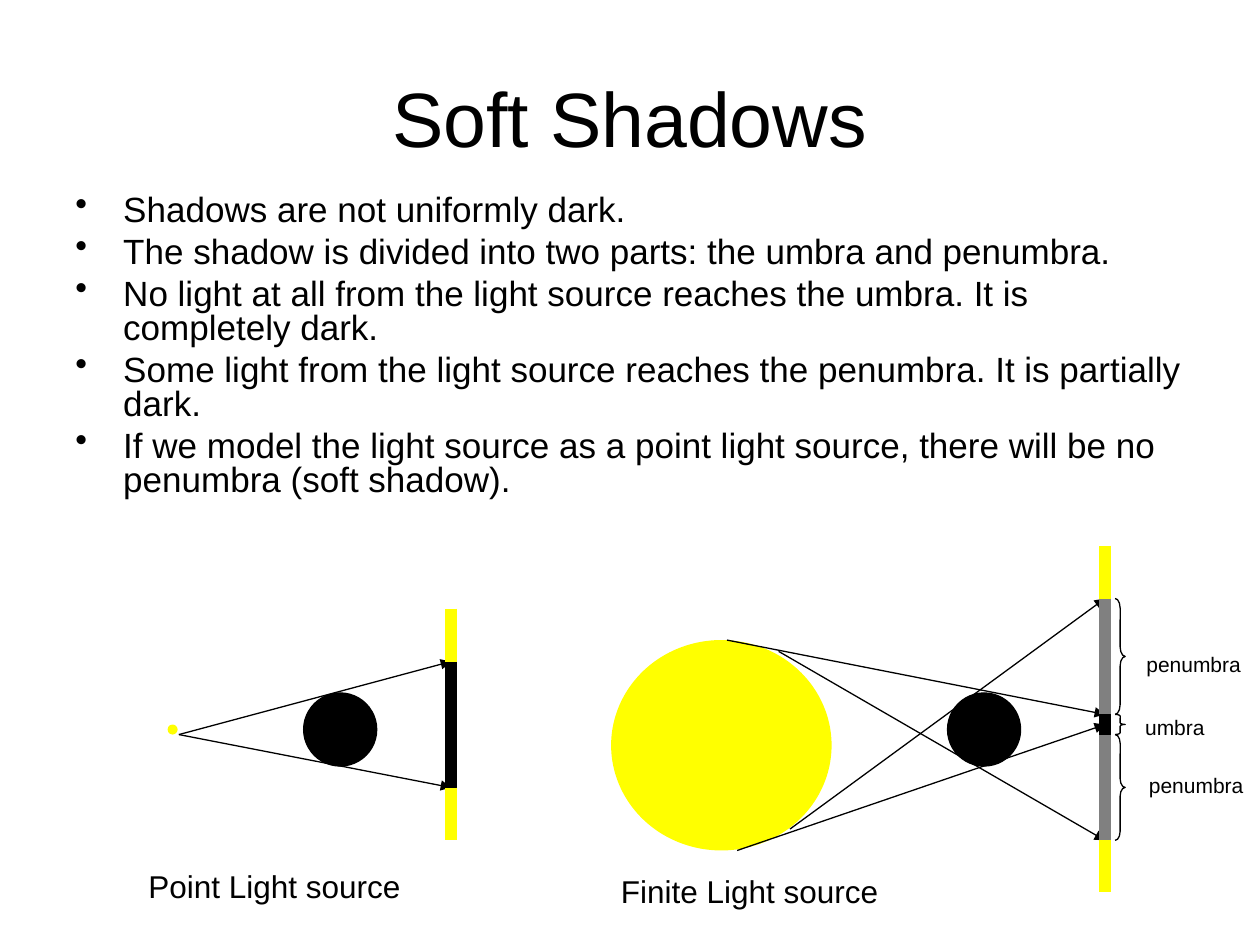
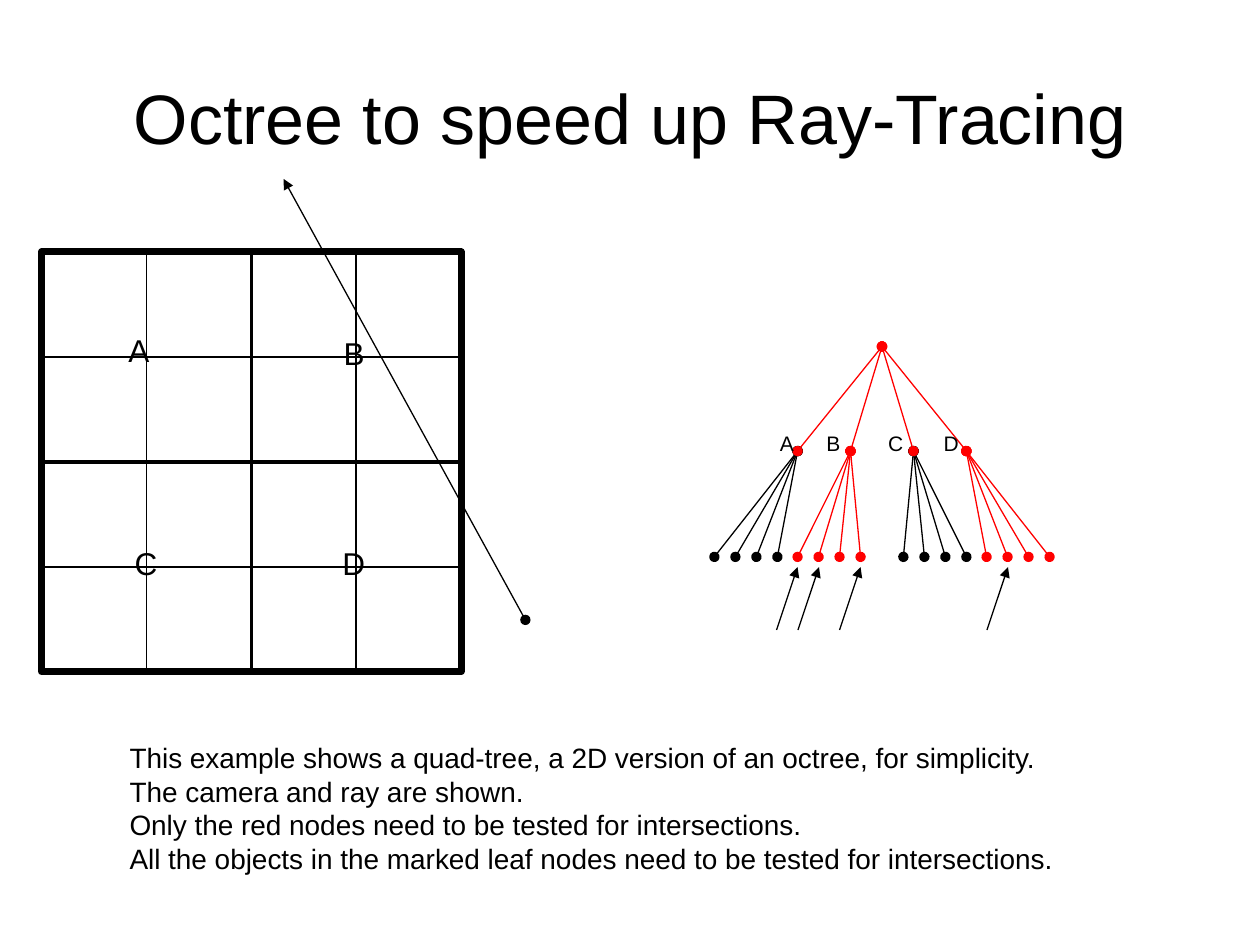
from dataclasses import dataclass

from lxml.etree import SubElement
from pptx import Presentation
from pptx.dml.color import RGBColor
from pptx.enum.shapes import MSO_CONNECTOR as Connector, MSO_SHAPE as Preset
from pptx.enum.text import MSO_ANCHOR as Anchor, PP_ALIGN as Align
from pptx.oxml.ns import qn
from pptx.util import Inches, Pt


@dataclass(frozen=True)
class Theme:
    font: str = "Arial"
    black: str = "000000"
    yellow: str = "FFFF00"
    gray: str = "808080"
    red: str = "FF0000"
    title: int = 44
    long_title: int = 40
    body: int = 20
    caption: int = 18
    note: int = 16
    label: int = 12
    thin: float = 0.75
    wall: float = 7


class Deck:
    """Draws styled elements on the current slide."""

    def __init__(self, theme):
        self.theme = theme
        self.presentation = Presentation()
        self.presentation.slide_width = Inches(10)
        self.presentation.slide_height = Inches(7.5)

    def add_slide(self, title, size):
        blank = self.presentation.slide_layouts[6]
        self.slide = self.presentation.slides.add_slide(blank)
        frame = self.text([title], 0.5, 0.3, 9, 1.25, size, wrap=True)
        frame.vertical_anchor = Anchor.MIDDLE
        frame.paragraphs[0].alignment = Align.CENTER

    def text(self, lines, left, top, width, height, size, wrap=False, bullets=False):
        box = self.slide.shapes.add_textbox(
            Inches(left), Inches(top), Inches(width), Inches(height))
        frame = box.text_frame
        frame.word_wrap = wrap
        frame.text = "\n".join(lines)
        for paragraph in frame.paragraphs:
            if bullets:
                self.bullet(paragraph)
            paragraph.font.name = self.theme.font
            paragraph.font.size = Pt(size)
            paragraph.font.color.rgb = RGBColor.from_string(self.theme.black)
        return frame

    def bullet(self, paragraph):
        paragraph.line_spacing = 0.8
        paragraph.space_before = Pt(5)
        properties = paragraph._p.get_or_add_pPr()
        properties.set("marL", str(Inches(0.38)))
        properties.set("indent", str(Inches(-0.38)))
        SubElement(properties, qn("a:buChar"), char="•")

    def shape(self, preset, left, top, width, height, fill=None, line=None, weight=0.75):
        shape = self.slide.shapes.add_shape(
            preset, Inches(left), Inches(top), Inches(width), Inches(height))
        shape.shadow.inherit = False
        if fill:
            shape.fill.solid()
            shape.fill.fore_color.rgb = RGBColor.from_string(fill)
        else:
            shape.fill.background()
        if line:
            shape.line.color.rgb = RGBColor.from_string(line)
            shape.line.width = Pt(weight)
        else:
            shape.line.fill.background()
        return shape

    def line(self, start, end, color, weight=None, head=None, tail=None):
        connector = self.slide.shapes.add_connector(
            Connector.STRAIGHT, *(Inches(value) for value in (*start, *end)))
        connector.line.color.rgb = RGBColor.from_string(color)
        connector.line.width = Pt(weight or self.theme.thin)
        outline = connector.line._get_or_add_ln()
        for tag, kind in (("a:headEnd", head), ("a:tailEnd", tail)):
            if kind:
                SubElement(outline, qn(tag), type=kind)
        SubElement(connector._element.spPr, qn("a:effectLst"))

    def arrow(self, start, end, head=None):
        self.line(start, end, self.theme.black, head=head, tail="triangle")

    def branch(self, start, end, color):
        self.line(start, end, color, head="oval", tail="oval")

    def wall(self, x, bands):
        for top, bottom, color in bands:
            self.line((x, top), (x, bottom), color, self.theme.wall)

    def ball(self, left):
        black = self.theme.black
        self.shape(Preset.OVAL, left, 5.5, 0.58, 0.58, black, black)

    def brace(self, top, bottom):
        width, height = 0.08, bottom - top
        brace = self.shape(
            Preset.RIGHT_BRACE, 8.85, top, width, height, line=self.theme.black)
        brace.adjustments[0] = height / 12 / width

    def quadrants(self, left, top, size, weights):
        self.shape(Preset.RECTANGLE, left, top, size, size,
                   line=self.theme.black, weight=weights[0])
        if len(weights) > 1:
            half = size / 2
            for row in range(2):
                for column in range(2):
                    self.quadrants(
                        left + column * half, top + row * half, half, weights[1:])


def add_soft_shadows(deck):
    theme = deck.theme
    deck.add_slide("Soft Shadows", theme.title)
    deck.text([
        "Shadows are not uniformly dark.",
        "The shadow is divided into two parts: the umbra and penumbra.",
        "No light at all from the light source reaches the umbra. It is completely dark.",
        "Some light from the light source reaches the penumbra. It is partially dark.",
        "If we model the light source as a point light source, there will be no "
        "penumbra (soft shadow).",
    ], 0.5, 1.5, 9, 2.67, theme.body, wrap=True, bullets=True)

    deck.shape(Preset.OVAL, 4.85, 5.08, 1.75, 1.67, theme.yellow)
    deck.ball(7.52)
    finite_wall = 8.77
    for start, hit in (((5.85, 6.75), 5.75), ((6.27, 6.58), 4.75),
                       ((6.18, 5.17), 6.67), ((5.77, 5.08), 5.67)):
        deck.arrow(start, (finite_wall, hit))
    deck.wall(finite_wall, [
        (4.33, 4.75, theme.yellow), (4.75, 5.67, theme.gray),
        (5.67, 5.83, theme.black), (5.83, 6.67, theme.gray),
        (6.67, 7.08, theme.yellow)])
    for top, bottom in ((4.75, 5.67), (5.67, 5.83), (5.83, 6.67)):
        deck.brace(top, bottom)
    for word, left, top, width in (("penumbra", 9, 5.12, 0.95),
                                   ("umbra", 8.99, 5.62, 0.67),
                                   ("penumbra", 9.02, 6.08, 0.95)):
        deck.text([word], left, top, width, 0.3, theme.label)
    deck.text(["Finite Light source"], 4.83, 6.87, 2.24, 0.4, theme.caption)

    deck.ball(2.41)
    deck.shape(Preset.OVAL, 1.33, 5.75, 0.08, 0.08, theme.yellow)
    point_wall = 3.58
    for hit in (6.25, 5.25):
        deck.arrow((1.42, 5.83), (point_wall, hit))
    deck.wall(point_wall, [
        (5.25, 6.25, theme.black), (4.83, 5.25, theme.yellow),
        (6.25, 6.67, theme.yellow)])
    deck.text(["Point Light source"], 1.08, 6.83, 2.2, 0.4, theme.caption)


def add_octree(deck):
    theme = deck.theme
    deck.add_slide("Octree to speed up Ray-Tracing", theme.long_title)
    deck.quadrants(0.33, 2, 3.33, (4, 2, 1))
    deck.arrow((4.17, 4.92), (2.25, 1.42), head="oval")
    for letter, left, top in (("A", 0.92, 2.58), ("B", 2.63, 2.6),
                              ("C", 0.97, 4.27), ("D", 2.62, 4.27)):
        deck.text([letter], left, top, 0.37, 0.4, theme.caption)
    deck.text([
        "This example shows a quad-tree, a 2D version of an octree, for simplicity.",
        "The camera and ray are shown.",
        "Only the red nodes need to be tested for intersections.",
        "All the objects in the marked leaf nodes need to be tested for intersections.",
    ], 0.93, 5.83, 7.53, 1.17, theme.note)

    root, node_y, leaf_y, leaf_gap = (7, 2.75), 3.58, 4.42, 1 / 6
    for letter, label_x, node_x, first_leaf, color in (
            ("A", 6.09, 6.33, 5.67, theme.black),
            ("B", 6.46, 6.75, 6.33, theme.red),
            ("C", 6.95, 7.25, 7.17, theme.black),
            ("D", 7.39, 7.67, 7.83, theme.red)):
        for index in range(4):
            leaf = (first_leaf + index * leaf_gap, leaf_y)
            deck.branch((node_x, node_y), leaf, color)
        deck.branch(root, (node_x, node_y), theme.red)
        deck.text([letter], label_x, 3.37, 0.32, 0.3, theme.label)
    for leaf_x in (6.33, 6.5, 6.83, 8):
        deck.arrow((leaf_x - leaf_gap, 5), (leaf_x, 4.5))


def main():
    deck = Deck(Theme())
    add_soft_shadows(deck)
    add_octree(deck)
    deck.presentation.save("out.pptx")


if __name__ == "__main__":
    main()
